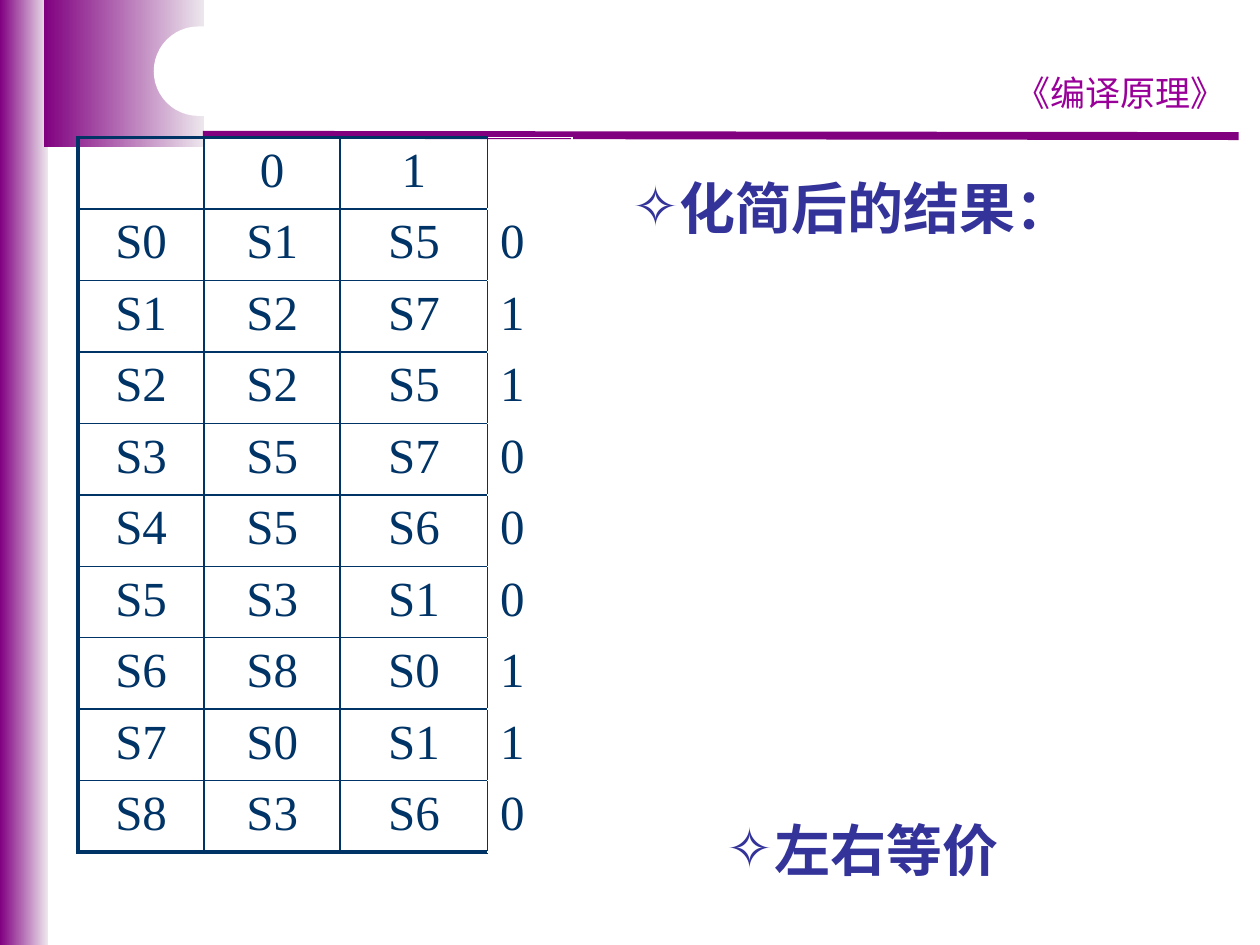
from dataclasses import dataclass

from lxml import etree
from pptx import Presentation
from pptx import util as u
from pptx.dml import color
from pptx.enum import shapes, text
from pptx.oxml import ns


@dataclass(frozen=True)
class Theme:
    """Colours, typefaces and type sizes of the slide."""
    purple: str = "800080"
    pale: str = "EDE7ED"
    white: str = "FFFFFF"
    ink: str = "003366"
    thin: float = 1
    thick: float = 2.25
    rule: float = 4.5

    def formats(self, role):
        """Return the font values for a role."""
        return {
            "course": {"name": "Comic Neue", "size": u.Pt(20), "color": "990099"},
            "cell": {"name": "Times New Roman", "size": u.Pt(28), "color": self.ink},
            "point": {"name": "DejaVu Sans", "size": u.Pt(32), "color": "333399", "bold": True},
        }[role]


THEME = Theme()
STATES = [
    ("", "0", "1", ""),
    ("S0", "S1", "S5", "0"),
    ("S1", "S2", "S7", "1"),
    ("S2", "S2", "S5", "1"),
    ("S3", "S5", "S7", "0"),
    ("S4", "S5", "S6", "0"),
    ("S5", "S3", "S1", "0"),
    ("S6", "S8", "S0", "1"),
    ("S7", "S0", "S1", "1"),
    ("S8", "S3", "S6", "0"),
]


def rgb(value):
    """Turn a hex string into a colour."""
    return color.RGBColor.from_string(value)


def inches(box):
    """Turn a sequence of numbers into lengths."""
    return [u.Inches(value) for value in box]


def add_child(parent, tag, **attributes):
    """Append a drawing element with the given attributes."""
    return etree.SubElement(parent, ns.qn(tag), attributes)


def write(paragraph, words, role):
    """Add one run in the format of a role."""
    run = paragraph.add_run()
    run.text = words
    for name, value in THEME.formats(role).items():
        if name == "color":
            run.font.color.rgb = rgb(value)
        else:
            setattr(run.font, name, value)
    add_child(run.font._element, "a:ea", typeface=run.font.name)


def add_panel(slide, box, kind=shapes.MSO_SHAPE.RECTANGLE, gradient=True):
    """Place a borderless panel, purple fading to pale or plain white."""
    panel = slide.shapes.add_shape(kind, *inches(box))
    panel.shadow.inherit = False
    panel.line.fill.background()
    if gradient:
        panel.fill.gradient()
        panel.fill.gradient_angle = 0
        for stop, value in zip(panel.fill.gradient_stops, (THEME.purple, THEME.pale)):
            stop.color.rgb = rgb(value)
    else:
        panel.fill.solid()
        panel.fill.fore_color.rgb = rgb(THEME.white)
    return panel


def add_text(slide, box, words, role, bullet=None):
    """Place a text box, centred or led by a bullet."""
    frame = slide.shapes.add_textbox(*inches(box)).text_frame
    frame.word_wrap = True
    paragraph = frame.paragraphs[0]
    if bullet:
        properties = paragraph._p.get_or_add_pPr()
        indent = u.Inches(0.375)
        properties.set("marL", str(indent))
        properties.set("indent", str(-indent))
        add_child(properties, "a:buFont", typeface=THEME.formats(role)["name"])
        add_child(properties, "a:buChar", char=bullet)
    else:
        paragraph.alignment = text.PP_ALIGN.CENTER
    write(paragraph, words, role)


def add_frame(slide, box):
    """Place the side band, corner, rule and course name."""
    left, top, width, height = box
    add_panel(slide, (left, top, 0.38, height))
    add_panel(slide, (left + 0.35, top, 1.27, 1.17))
    ends = inches((left + 1.61, top + 1.07, left + 9.83, top + 1.08))
    rule = slide.shapes.add_connector(shapes.MSO_CONNECTOR.STRAIGHT, *ends)
    rule.line.color.rgb = rgb(THEME.purple)
    rule.line.width = u.Pt(THEME.rule)
    add_child(rule._element.spPr, "a:effectLst")
    add_text(slide, (left + width - 2.09, top + 0.52, 1.97, 0.43), "《编译原理》", "course")
    notch = add_panel(slide, (left + 1.22, top + 0.21, 3.62, 0.71),
                      shapes.MSO_SHAPE.ROUNDED_RECTANGLE, gradient=False)
    notch.adjustments[0] = 0.5


def set_borders(cell, widths):
    """Draw the cell edges whose widths are given."""
    properties = cell._tc.get_or_add_tcPr()
    for side in "LRTB":
        if side in widths:
            line = add_child(properties, f"a:ln{side}", w=str(u.Pt(widths[side])))
            add_child(add_child(line, "a:solidFill"), "a:srgbClr", val=THEME.ink)


def edge_widths(row, column, last_row, last_column):
    """Return thick outer and thin inner edges, with the output column open."""
    if column == last_column:
        return {"L": THEME.thin}
    return {
        "L": THEME.thick if column == 0 else THEME.thin,
        "R": THEME.thin,
        "T": THEME.thick if row == 0 else THEME.thin,
        "B": THEME.thick if row == last_row else THEME.thin,
    }


def add_state_table(slide, box, rows, widths):
    """Place the state transition table with its output column."""
    count, last = len(rows), len(widths) - 1
    table = slide.shapes.add_table(count, len(widths), *inches(box)).table
    table.first_row = table.horz_banding = False
    for column, width in zip(table.columns, widths):
        column.width = u.Inches(width)
    for row, values in enumerate(rows):
        table.rows[row].height = u.Inches(box[3] / count)
        for column, value in enumerate(values):
            cell = table.cell(row, column)
            set_borders(cell, edge_widths(row, column, count - 1, last))
            cell.fill.background()
            paragraph = cell.text_frame.paragraphs[0]
            if column < last:
                paragraph.alignment = text.PP_ALIGN.CENTER
            if value:
                write(paragraph, value, "cell")


def main():
    """Build and save the slide."""
    presentation = Presentation()
    presentation.slide_width, presentation.slide_height = inches((10, 7.5))
    slide = presentation.slides.add_slide(presentation.slide_layouts[6])
    add_frame(slide, (0, 0, 10, 7.5))
    add_state_table(slide, (0.62, 1.09, 3.92, 5.67), STATES, (1, 1.08, 1.17, 0.67))
    add_text(slide, (4.92, 1.33, 3.75, 0.5), "化简后的结果：", "point", "✧")
    add_text(slide, (5.67, 6.42, 3.32, 0.64), "左右等价", "point", "✧")
    presentation.save("out.pptx")


if __name__ == "__main__":
    main()
